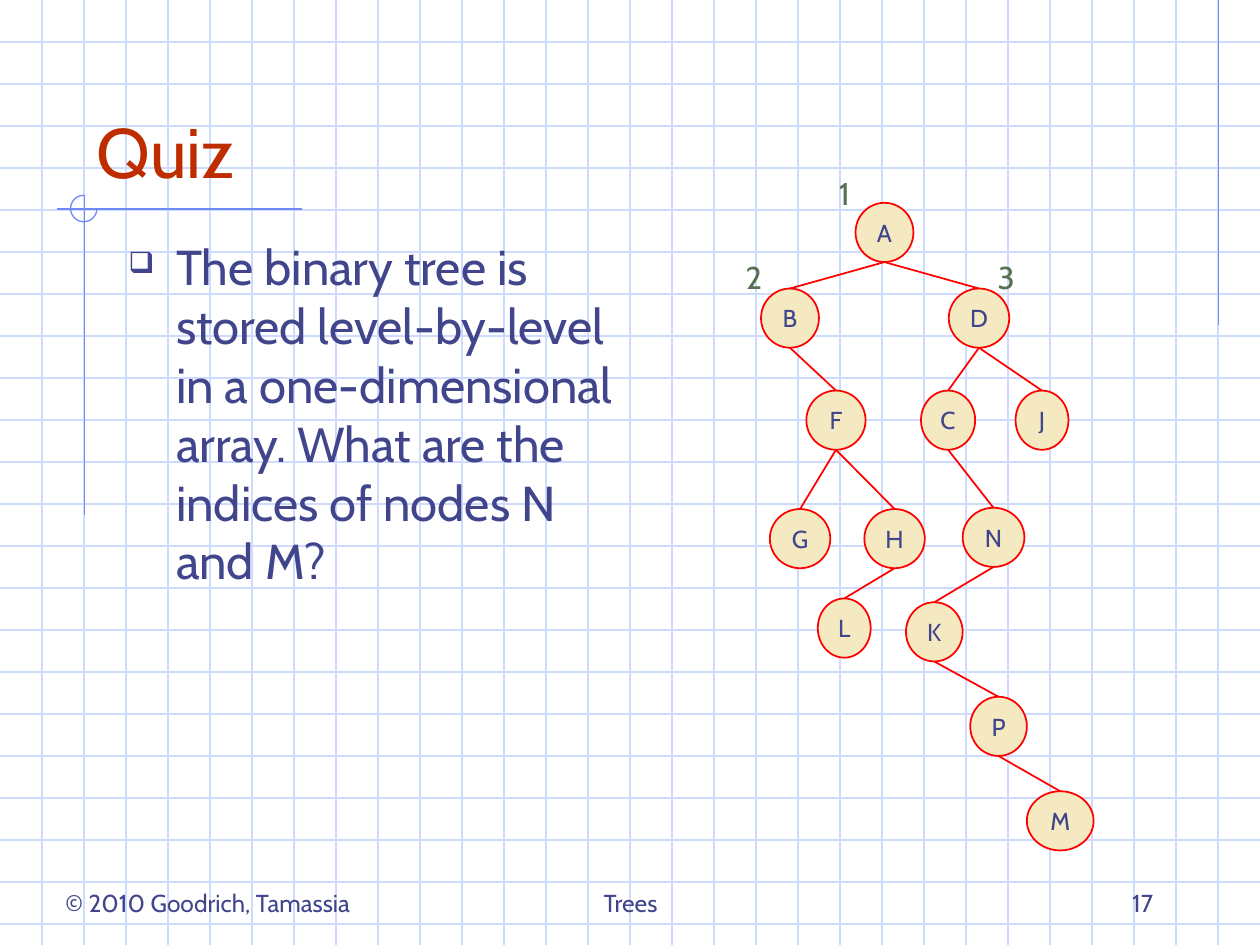
from dataclasses import dataclass

from lxml import etree
from pptx import Presentation, util as u
from pptx.dml.color import RGBColor
from pptx.enum import shapes, text
from pptx.oxml.ns import qn


@dataclass(frozen=True)
class Theme:
    font: str = "Cabin"
    ink: str = "40458C"
    title: str = "BE2D00"
    index: str = "577052"
    grid: str = "CFDBFD"
    accent: str = "6F89F7"
    node: str = "F4E9C1"
    edge: str = "FF0000"
    title_pt: int = 40
    body_pt: int = 28
    index_pt: int = 18
    small_pt: int = 14
    rule_pt: float = 0.75
    edge_pt: float = 1


@dataclass(frozen=True)
class Node:
    name: str
    x: float
    y: float
    w: float
    parent: str = ""


@dataclass(frozen=True)
class Label:
    words: str
    box: tuple[float, float, float, float]
    size: int
    color: str
    anchor: text.MSO_ANCHOR = text.MSO_ANCHOR.TOP
    align: text.PP_ALIGN = text.PP_ALIGN.LEFT
    wrap: bool = True
    bullet: bool = False


T = Theme()
WIDTH, HEIGHT = 10, 7.5
NODE_H = 0.47
BOTTOM, CENTER, RIGHT = text.MSO_ANCHOR.BOTTOM, text.PP_ALIGN.CENTER, text.PP_ALIGN.RIGHT

# Parents come before their children
NODES = [
    Node("A", 6.79, 1.61, 0.46),
    Node("B", 6.04, 2.29, 0.46, "A"),
    Node("D", 7.53, 2.29, 0.48, "A"),
    Node("F", 6.40, 3.10, 0.47, "B"),
    Node("C", 7.31, 3.10, 0.43, "D"),
    Node("J", 8.06, 3.10, 0.42, "D"),
    Node("G", 6.11, 4.04, 0.48, "F"),
    Node("H", 6.86, 4.04, 0.48, "F"),
    Node("N", 7.64, 4.03, 0.49, "C"),
    Node("L", 6.49, 4.75, 0.42, "H"),
    Node("K", 7.19, 4.78, 0.45, "N"),
    Node("P", 7.70, 5.53, 0.45, "K"),
    Node("M", 8.15, 6.28, 0.53, "P"),
]

LABELS = [
    Label("Quiz", (0.67, 0.33, 8.5, 1.25), T.title_pt, T.title, BOTTOM),
    Label("The binary tree is stored level-by-level in a one-dimensional array. "
          "What are the indices of nodes N and M?",
          (0.92, 1.83, 4.17, 4.75), T.body_pt, T.ink, bullet=True),
    Label("© 2010 Goodrich, Tamassia", (0.42, 6.83, 2.75, 0.5), T.small_pt, T.ink, BOTTOM),
    Label("Trees", (3.42, 6.83, 3.17, 0.5), T.small_pt, T.ink, BOTTOM, CENTER),
    Label("17", (7.17, 6.83, 2.08, 0.5), T.small_pt, T.ink, BOTTOM, RIGHT),
] + [
    Label(n, (x, y, 0.34, 0.4), T.index_pt, T.index, wrap=False)
    for n, x, y in (("1", 6.56, 1.33), ("2", 5.82, 2), ("3", 7.82, 2))
]


def rgb(color: str) -> RGBColor:
    return RGBColor.from_string(color)


def add_line(s, x1: float, y1: float, x2: float, y2: float,
             color: str = T.accent, width: float = T.rule_pt):
    line = s.shapes.add_connector(
        shapes.MSO_CONNECTOR.STRAIGHT, *map(u.Inches, (x1, y1, x2, y2)))
    line.line.color.rgb = rgb(color)
    line.line.width = u.Pt(width)
    etree.SubElement(line._element.spPr, qn("a:effectLst"))
    return line


def add_bullet(p) -> None:
    pPr = p._p.get_or_add_pPr()
    pPr.set("marL", str(u.Inches(0.38)))
    pPr.set("indent", str(u.Inches(-0.38)))
    color = etree.SubElement(pPr, qn("a:buClr"))
    etree.SubElement(color, qn("a:srgbClr"), val=T.ink)
    etree.SubElement(pPr, qn("a:buSzPct"), val="60000")
    etree.SubElement(pPr, qn("a:buChar"), char="❑")


def write(sp, label: Label) -> None:
    tf = sp.text_frame
    tf.word_wrap = label.wrap
    tf.vertical_anchor = label.anchor
    tf.margin_left = tf.margin_right = u.Inches(0.1)
    tf.margin_top = tf.margin_bottom = u.Inches(0.05)
    p = tf.paragraphs[0]
    p.alignment = label.align
    if label.bullet:
        add_bullet(p)
    r = p.add_run()
    r.text = label.words
    r.font.name = T.font
    r.font.size = u.Pt(label.size)
    r.font.color.rgb = rgb(label.color)


def add_label(s, label: Label) -> None:
    write(s.shapes.add_textbox(*map(u.Inches, label.box)), label)


def add_node(s, node: Node):
    box = (node.x, node.y, node.w, NODE_H)
    sp = s.shapes.add_shape(shapes.MSO_SHAPE.OVAL, *map(u.Inches, box))
    sp.shadow.inherit = False
    sp.fill.solid()
    sp.fill.fore_color.rgb = rgb(T.node)
    sp.line.color.rgb = rgb(T.edge)
    sp.line.width = u.Pt(T.edge_pt)
    write(sp, Label(node.name, box, T.small_pt, T.ink,
                    text.MSO_ANCHOR.MIDDLE, CENTER, wrap=False))
    return sp


def add_edge(s, parent, child) -> None:
    edge = add_line(s, 0, 0, 1, 1, T.edge, T.edge_pt)
    edge.begin_connect(parent, 2)
    edge.end_connect(child, 0)
    # An ellipse has eight connection sites; its bottom is number 4
    edge._element.find(".//" + qn("a:stCxn")).set("idx", "4")


def add_background(s) -> None:
    # Graph paper, three squares to the inch
    for i in range(1, 23):
        add_line(s, 0, i / 3, WIDTH, i / 3, T.grid)
    for i in range(1, 30):
        add_line(s, i / 3, 0, i / 3, HEIGHT, T.grid)

    # Accent rules and three-quarter circle
    add_line(s, 9.67, 0, 9.67, 2.58)
    add_line(s, 2.4, 1.66, 0.45, 1.66)
    add_line(s, 0.67, 1.55, 0.67, 4.09)
    arc = s.shapes.add_shape(
        shapes.MSO_SHAPE.ARC, *map(u.Inches, (0.56, 1.55, 0.21, 0.21)))
    arc.adjustments[0], arc.adjustments[1] = 0, 162  # 0 to 270 degrees
    arc.shadow.inherit = False
    arc.fill.background()
    arc.line.color.rgb = rgb(T.accent)
    arc.line.width = u.Pt(T.rule_pt)


def main() -> None:
    prs = Presentation()
    prs.slide_width, prs.slide_height = u.Inches(WIDTH), u.Inches(HEIGHT)
    s = prs.slides.add_slide(prs.slide_layouts[6])
    add_background(s)

    # Title, question, footer and index labels
    for label in LABELS:
        add_label(s, label)

    # Binary tree
    drawn = {}
    for node in NODES:
        drawn[node.name] = add_node(s, node)
        if node.parent:
            add_edge(s, drawn[node.parent], drawn[node.name])

    prs.save("out.pptx")


if __name__ == "__main__":
    main()
